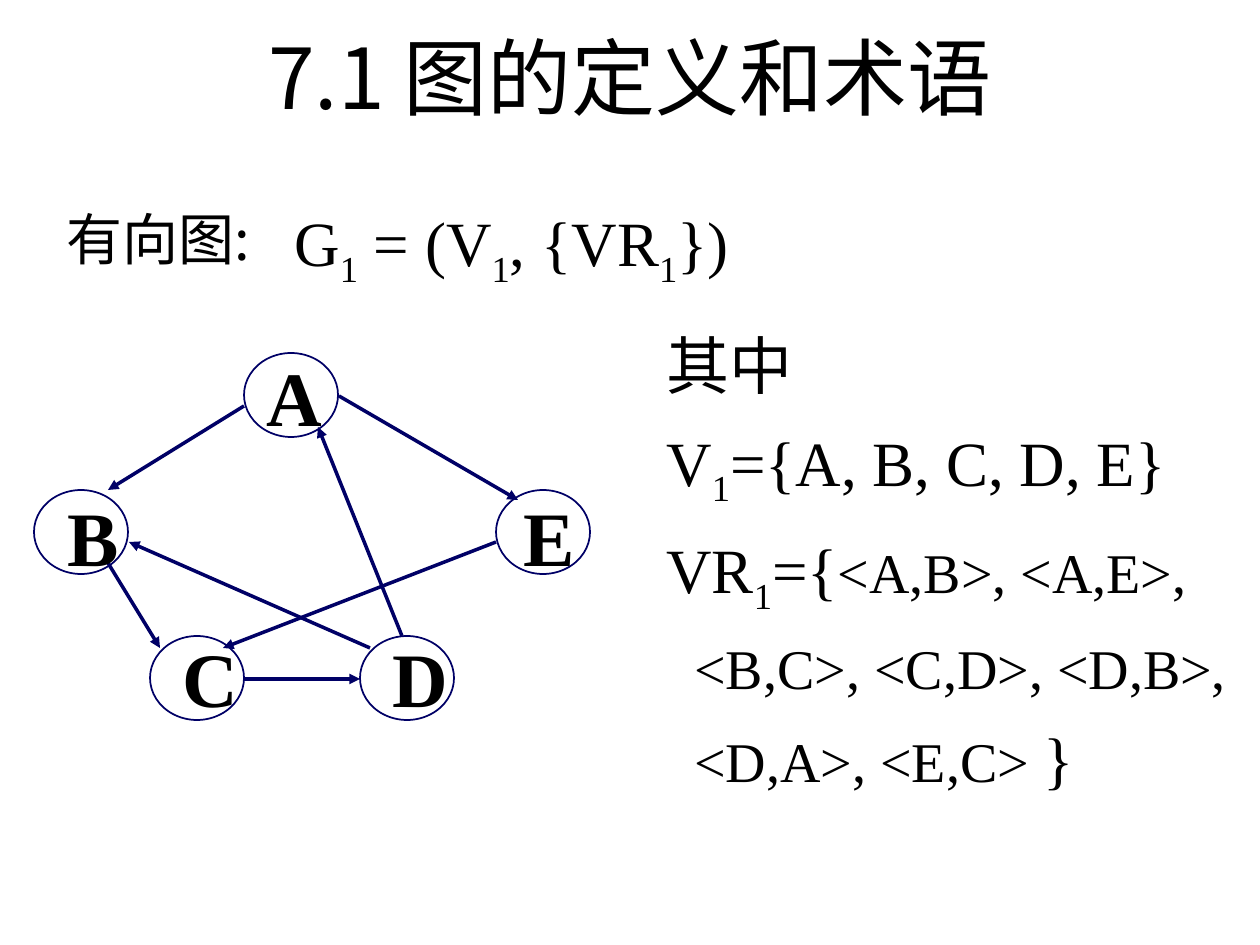
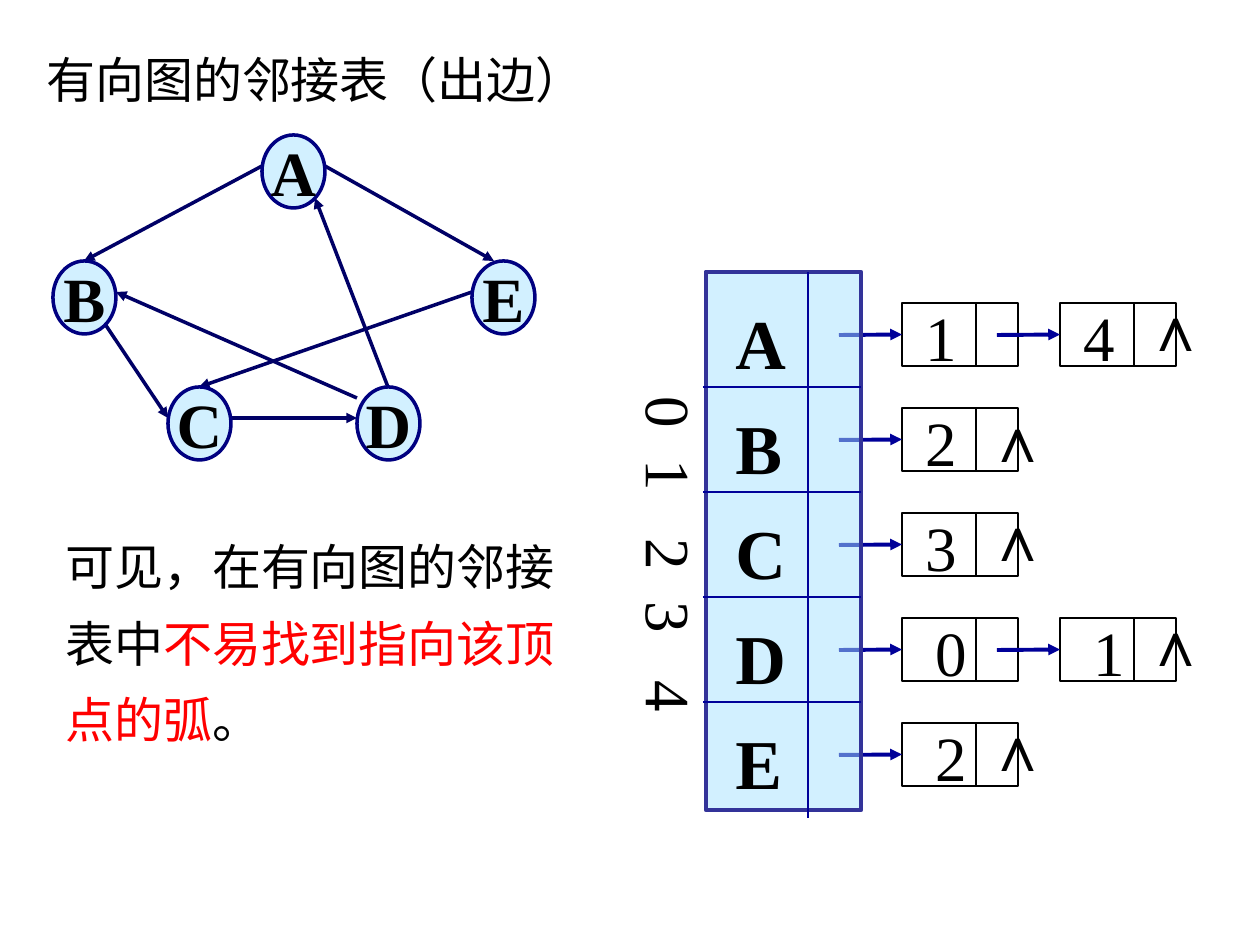
from pptx import Presentation
from pptx.dml.color import RGBColor as RGB
from pptx.enum.shapes import MSO_CONNECTOR as LINK, MSO_SHAPE as FORM
from pptx.enum.text import MSO_ANCHOR as ANCHOR, PP_ALIGN as ALIGN
from pptx.oxml.ns import qn
from pptx.oxml.xmlchemy import OxmlElement as Tag
from pptx.util import Pt

SCALE = 914400 / 126
SERIF, HAN, SANS = "Times New Roman", "Noto Sans CJK SC", "Arial"
COLORS = {
    "ink": "000000",
    "edge": "000066",
    "ring": "000080",
    "link": "000099",
    "frame": "333399",
    "pale": "A7E2FF",
    "alert": "FF0000",
}


def px(*values):
    return [round(value * SCALE) for value in values]


def add_tag(parent, name, **values):
    tag = Tag(name)
    for key, value in values.items():
        tag.set(key, str(value))
    parent.append(tag)
    return tag


def paint(color, name):
    color.rgb = RGB.from_string(COLORS[name])


def add_run(para, text, size=36, name=SERIF, bold=False, color="ink", sub=False):
    run = para.add_run()
    run.text = text
    form = {"size": Pt(size), "name": name, "bold": bold}
    for key, value in form.items():
        setattr(run.font, key, value)
    paint(run.font.color, color)
    props = run.font._element
    add_tag(props, "a:ea", typeface=HAN)
    if sub:
        props.set("baseline", "-25000")


def write(frame, lines, lead=None, gap=0, align=ALIGN.LEFT, **look):
    for row, line in enumerate(lines):
        para = frame.add_paragraph() if row else frame.paragraphs[0]
        props = para._p.get_or_add_pPr()
        if "tabs" in line:
            stops = add_tag(props, "a:tabLst")
            for stop in px(*line["tabs"]):
                add_tag(stops, "a:tab", pos=stop, algn="l")
        if "indent" in line:
            props.set("marL", str(px(line["indent"])[0]))
            props.set("indent", "0")
        form = {"alignment": align, "line_spacing": lead}
        if row and gap:
            form["space_before"] = Pt(gap)
        for key, value in form.items():
            setattr(para, key, value)
        for text, extra in line["runs"]:
            add_run(para, text, **{**look, **extra})


def plain(text, **extra):
    return {"runs": [(text, {})], **extra}


def mixed(*parts, **extra):
    runs = [(part, {"sub": part == "1"}) if isinstance(part, str) else part
            for part in parts]
    return {"runs": runs, **extra}


def add_text(slide, box, lines, **look):
    frame = slide.shapes.add_textbox(*px(*box)).text_frame
    frame.word_wrap = True
    write(frame, lines, **look)
    return frame


def add_form(slide, kind, box, color, width, fill=None):
    shape = slide.shapes.add_shape(kind, *px(*box))
    shape.shadow.inherit = False
    paint(shape.line.color, color)
    shape.line.width = Pt(width)
    if fill:
        shape.fill.solid()
        paint(shape.fill.fore_color, fill)
        tint = shape._element.spPr.find(qn("a:solidFill"))[0]
        add_tag(tint, "a:alpha", val=50000)
    else:
        shape.fill.background()
    return shape


def add_line(slide, ends, color, width, arrow=False):
    line = slide.shapes.add_connector(LINK.STRAIGHT, *px(*ends))
    paint(line.line.color, color)
    line.line.width = Pt(width)
    props = line._element.spPr
    if arrow:
        add_tag(props.find(qn("a:ln")), "a:tailEnd", type="triangle")
    add_tag(props, "a:effectLst")
    return line


def add_graph(slide, box, nodes, edges, color, width, fill=None, label=False):
    left, top, wide, high = box
    for x1, y1, x2, y2 in edges:
        add_line(slide, (left + x1, top + y1, left + x2, top + y2),
                 "edge", 2, arrow=True)
    for name, (x, y) in nodes.items():
        node = add_form(slide, FORM.OVAL, (left + x, top + y, wide, high),
                        color, width, fill)
        if label:
            frame = node.text_frame
            frame.word_wrap = False
            frame.vertical_anchor = ANCHOR.MIDDLE
            write(frame, [plain(name)], align=ALIGN.CENTER, bold=True)


def add_cell(slide, left, top):
    cell = add_form(slide, FORM.RECTANGLE, (left, top, 116, 63), "ink", 1)
    add_line(slide, (left + 74, top, left + 74, top + 63), "ink", 1)
    link = add_line(slide, (left - 63, top + 32, left, top + 32),
                    "link", 2.25, arrow=True)
    link.end_connect(cell, 1)


def add_chains(slide, left, top, chains):
    for row, (values, shift) in enumerate(chains):
        y = top + 105 * row
        add_text(slide, (left + 11 + shift, y - 11, 215, 88),
                 [plain("\t".join(values), tabs=(158,))])
        for col in range(len(values)):
            add_cell(slide, left + 198 * 0 + 158 * col, y)


def add_ends(slide, left, top, chains, lifts):
    for row, ((values, _), lift) in enumerate(zip(chains, lifts)):
        x = left + 72 + 158 * (len(values) - 1)
        add_text(slide, (x, top + 105 * row - lift, 45, 88),
                 [plain("∧")], name=SANS)


def add_heads(slide, left, top):
    add_text_down = add_text(slide, (left - 92, top + 112, 101, 342),
                             [plain("0\t1\t2\t3\t4", tabs=(63, 142, 205, 284))])
    body = add_text_down._txBody.bodyPr
    body.set("vert", "eaVert")
    for key, value in zip(("lIns", "tIns", "rIns", "bIns"), px(6, 13, 6, 13)):
        body.set(key, str(value))
    table = add_form(slide, FORM.RECTANGLE, (left, top, 155, 538),
                     "frame", 2.75, "pale")
    table.text_frame.vertical_anchor = ANCHOR.TOP
    write(table.text_frame, [plain(name, indent=17) for name in "ABCDE"],
          lead=1.25, size=40, bold=True)
    add_line(slide, (left + 102, top, left + 102, top + 546), "link", 1)
    for row in range(4):
        y = top + 115 + 105 * row
        add_line(slide, (left - 3, y, left + 155, y), "link", 1)


def add_terms(deck):
    slide = deck.slides.add_slide(deck.slide_layouts[6])
    title = add_text(slide, (63, 16, 1134, 120), [plain("7.1 图的定义和术语")],
                     align=ALIGN.CENTER, size=48, name=HAN)
    title.vertical_anchor = ANCHOR.MIDDLE
    nodes = {"A": (210, 0), "B": (0, 137), "E": (462, 137),
             "C": (116, 283), "D": (326, 283)}
    edges = [(210, 53, 74, 137), (74, 210, 126, 295), (210, 326, 326, 326),
             (368, 283, 284, 74), (305, 43, 484, 147), (336, 295, 95, 189),
             (462, 189, 189, 295)]
    add_graph(slide, (34, 353, 94, 84), nodes, edges, "edge", 1)
    add_text(slide, (55, 343, 546, 387),
             [plain("\tA", tabs=(199,)), plain("B\tE", tabs=(456,)),
              plain("\tC\tD", tabs=(115, 325))],
             gap=27.5, size=44, bold=True)
    add_text(slide, (54, 185, 228, 93), [plain("有向图:")],
             lead=1.2, size=32, name=HAN)
    add_text(slide, (282, 180, 473, 116),
             [mixed("G", "1", " = (V", "1", ", {VR", "1", "})")], lead=1.2)
    small = {"size": 32}
    add_text(slide, (654, 301, 588, 501), [
        mixed(("其中", {"name": HAN})),
        mixed("V", "1", "={A, B, C, D, E}"),
        mixed("VR", "1", "={", ("<A,B>, <A,E>,", small)),
        mixed(("<B,C>, <C,D>, <D,B>,", small), indent=28),
        mixed(("<D,A>, <E,C> ", small), "}", indent=28),
    ], lead=1.25)


def add_lists(deck):
    slide = deck.slides.add_slide(deck.slide_layouts[6])
    chains = [("14", 0), ("2", 0), ("3", 0), ("01", 10), ("2", 10)]
    add_chains(slide, 902, 303, chains)
    add_heads(slide, 706, 272)
    add_text(slide, (34, 26, 876, 89), [plain("有向图的邻接表（出边）")],
             lead=1.3, size=28)
    add_ends(slide, 902, 303, chains, (21, 15, 21, 21, 21))
    nodes = {"A": (209, 0), "B": (0, 126), "E": (419, 126),
             "C": (115, 252), "D": (304, 252)}
    edges = [(209, 31, 31, 126), (52, 189, 115, 283), (178, 283, 304, 283),
             (335, 252, 262, 63), (272, 31, 441, 126), (304, 263, 63, 157),
             (419, 157, 146, 252)]
    add_graph(slide, (53, 135, 63, 73), nodes, edges, "ring", 2, "pale", True)
    add_text(slide, (53, 513, 557, 242), [mixed(
        "可见，在有向图的邻接表中",
        ("不易找到指向该顶点的弧", {"color": "alert"}), "。")],
        lead=1.3, size=28)


def main():
    deck = Presentation()
    deck.slide_width, deck.slide_height = px(1260, 945)
    add_terms(deck)
    add_lists(deck)
    deck.save("out.pptx")


if __name__ == "__main__":
    main()
